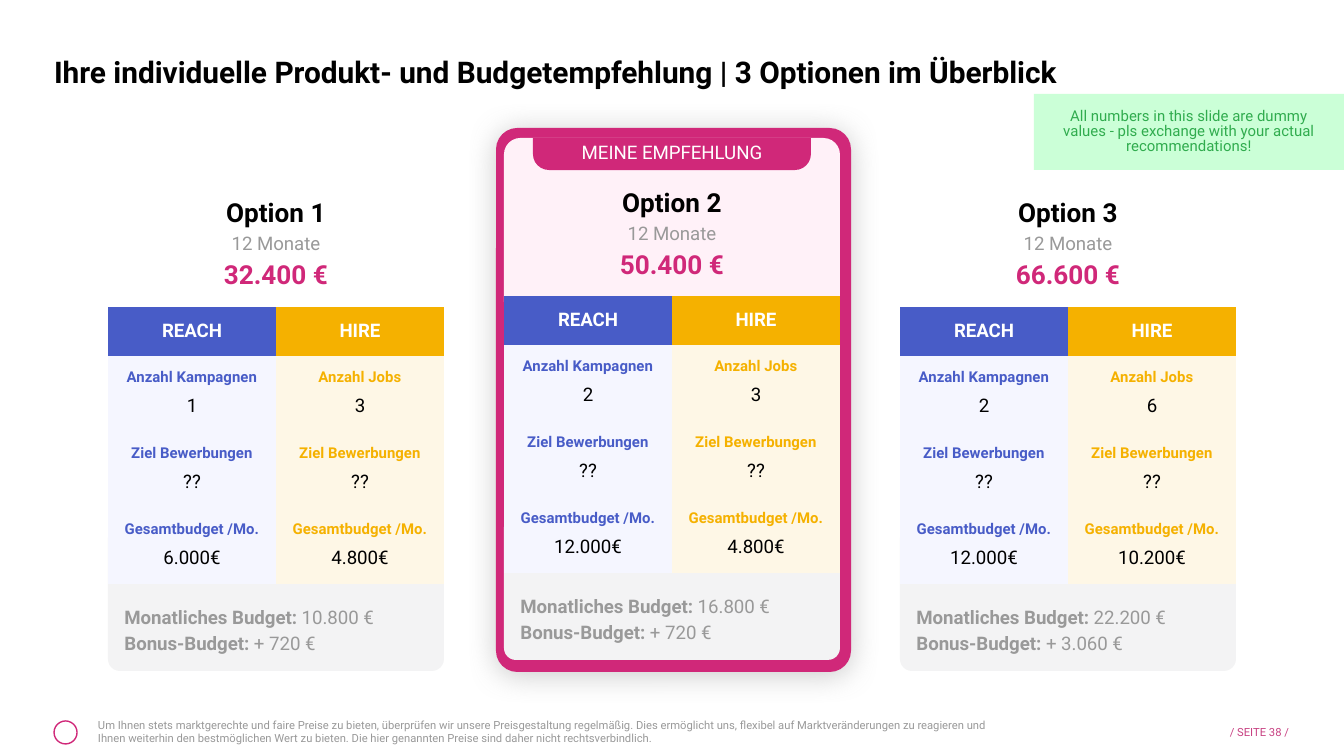
from pptx import Presentation
from pptx.dml.color import RGBColor
from pptx.enum.shapes import MSO_SHAPE
from pptx.enum.text import MSO_ANCHOR, MSO_AUTO_SIZE, PP_ALIGN
from pptx.oxml import parse_xml
from pptx.oxml.ns import nsdecls, qn
from pptx.util import Pt

SCALE = 9144000 / 1344
PINK, BLUE, GOLD, GREY = "D02879", "485CC7", "F5B100", "999999"
BLACK, WHITE = "000000", "FFFFFF"
LEFT, MID, RIGHT = PP_ALIGN.LEFT, PP_ALIGN.CENTER, PP_ALIGN.RIGHT
PLAIN = "{2D5ABB26-0587-4C30-8999-92F81FD0307C}"
CARD, STEP, PAD, LIFT = 336, 396, 13, 11
LABELS = [
    ("Anzahl Kampagnen", "Anzahl Jobs"),
    ("Ziel Bewerbungen", "Ziel Bewerbungen"),
    ("Gesamtbudget /Mo.", "Gesamtbudget /Mo."),
]
OPTIONS = [
    ("Option 1", "32.400 €", [("1", "3"), ("??", "??"), ("6.000€", "4.800€")],
     "10.800 €", "720 €"),
    ("Option 2", "50.400 €", [("2", "3"), ("??", "??"), ("12.000€", "4.800€")],
     "16.800 €", "720 €"),
    ("Option 3", "66.600 €", [("2", "6"), ("??", "??"), ("12.000€", "10.200€")],
     "22.200 €", "3.060 €"),
]


def px(n):
    return round(n * SCALE)


def rgb(code):
    return RGBColor.from_string(code)


class Deck:
    """Holds the slide style and draws each kind of element."""

    def __init__(self, font):
        self.font = font
        self.prs = Presentation()
        self.prs.slide_width, self.prs.slide_height = px(1344), px(756)
        self.slide = self.prs.slides.add_slide(self.prs.slide_layouts[5])

    def style(self, run, size, color, bold=False):
        run.font.name = self.font
        run.font.size = Pt(size)
        run.font.color.rgb = rgb(color)
        run.font.bold = bold

    def label(self, frame, lines, align=LEFT, anchor=MSO_ANCHOR.TOP, pad=PAD, top=None):
        frame.word_wrap = True
        frame.auto_size = MSO_AUTO_SIZE.NONE
        frame.vertical_anchor = anchor
        frame.margin_left = frame.margin_right = frame.margin_bottom = px(pad)
        frame.margin_top = px(pad if top is None else top)
        self.fill_lines(frame, lines, align)

    def fill_lines(self, frame, lines, align):
        frame.text = "\n".join(line[0] for line in lines)
        for para, (text, size, color, bold) in zip(frame.paragraphs, lines):
            para.alignment = align
            self.style(para.runs[0], size, color, bold)

    def title(self, text, x, y, w, h):
        shape = self.slide.shapes.title
        shape.left, shape.top, shape.width, shape.height = map(px, (x, y, w, h))
        self.label(shape.text_frame, [(text, 16, BLACK, True)], pad=0)

    def text(self, lines, x, y, w, h, **look):
        box = self.slide.shapes.add_textbox(*map(px, (x, y, w, h)))
        self.label(box.text_frame, lines, **look)

    def shape(self, kind, x, y, w, h, fill=None, line=None, adj=()):
        shape = self.slide.shapes.add_shape(kind, *map(px, (x, y, w, h)))
        shape.shadow.inherit = False
        for i, value in enumerate(adj):
            shape.adjustments[i] = value
        if fill:
            shape.fill.solid()
            shape.fill.fore_color.rgb = rgb(fill)
        else:
            shape.fill.background()
        if line:
            shape.line.color.rgb = rgb(line)
            shape.line.width = Pt(0.75)
        else:
            shape.line.fill.background()
        return shape

    def glow(self, shape):
        effects = shape.element.spPr.find(qn("a:effectLst"))
        effects.append(parse_xml(
            f'<a:outerShdw {nsdecls("a")} blurRad="{Pt(15.8)}" dist="{Pt(1.5)}" '
            'dir="5400000" algn="bl" rotWithShape="0">'
            f'<a:srgbClr val="{GREY}"><a:alpha val="50000"/></a:srgbClr></a:outerShdw>'))

    def cell(self, cell, lines, fill, anchor):
        cell.fill.solid()
        cell.fill.fore_color.rgb = rgb(fill)
        cell.vertical_anchor = anchor
        cell.margin_left = cell.margin_right = px(PAD)
        cell.margin_top = cell.margin_bottom = px(PAD)
        self.fill_lines(cell.text_frame, lines, MID)
        for para in cell.text_frame.paragraphs[1:]:
            para.space_before = Pt(5)

    def table(self, values, x, y):
        head, body = 49, 76
        size = (x, y, CARD, head + 3 * body)
        frame = self.slide.shapes.add_table(4, 2, *map(px, size))
        table = frame.table
        table.first_row = table.horz_banding = False
        next(frame.element.iter(qn("a:tableStyleId"))).text = PLAIN
        for row, high in zip(table.rows, (head, body, body, body)):
            row.height = px(high)
        plan = [("REACH", BLUE, "F5F6FF"), ("HIRE", GOLD, "FEF7E6")]
        for col, (name, color, tint) in enumerate(plan):
            self.cell(table.cell(0, col), [(name, 10, WHITE, True)], color, MSO_ANCHOR.MIDDLE)
            for row in range(3):
                lines = [(LABELS[row][col], 8, color, True),
                         (values[row][col], 10, BLACK, False)]
                self.cell(table.cell(row + 1, col), lines, tint, MSO_ANCHOR.TOP)

    def budget(self, month, bonus, x, y):
        box = self.shape(MSO_SHAPE.ROUND_2_SAME_RECTANGLE, x, y, CARD, 133,
                         "F3F3F4", adj=(0, 0.09))
        lines = [("Monatliches Budget:", 10, GREY, True), ("Bonus-Budget:", 10, GREY, True)]
        self.label(box.text_frame, lines, anchor=MSO_ANCHOR.BOTTOM)
        for para, value in zip(box.text_frame.paragraphs, (f" {month}", f" + {bonus}")):
            para.line_spacing = 1.15
            run = para.add_run()
            run.text = value
            self.style(run, 10, GREY)

    def option(self, data, x, best):
        name, price, values, month, bonus = data
        lift = LIFT if best else 0
        self.budget(month, bonus, x, 538 - lift)
        y, high, fill = (138, 164, "FFF1F8") if best else (180, 133, WHITE)
        head = self.shape(MSO_SHAPE.ROUND_2_SAME_RECTANGLE, x, y, CARD, high,
                          fill, adj=(0.1, 0))
        lines = [(name, 14, BLACK, True), ("12 Monate", 10, GREY, False),
                 (price, 14, PINK, True)]
        self.label(head.text_frame, lines, MID, top=180 + PAD - lift - y)
        for para in head.text_frame.paragraphs[1:]:
            para.line_spacing = 1.15
        self.table(values, x, 307 - lift)


def main():
    deck = Deck("Roboto")
    deck.shape(MSO_SHAPE.OVAL, 54, 721, 23, 23, line=PINK)
    deck.text([("/ SEITE 38 /", 6, "C84182", False)], 1164, 703, 125, 58,
              align=RIGHT, anchor=MSO_ANCHOR.MIDDLE, pad=0)
    deck.title("Ihre individuelle Produkt- und Budgetempfehlung | 3 Optionen im Überblick",
               54, 54, 1235, 93)
    deck.glow(deck.shape(MSO_SHAPE.ROUNDED_RECTANGLE, 496, 128, 355, 544, PINK, adj=(0.06,)))
    for i, data in enumerate(OPTIONS):
        deck.option(data, 108 + i * STEP, i == 1)
    badge = deck.shape(MSO_SHAPE.ROUND_2_SAME_RECTANGLE, 533, 138, 278, 32, PINK, adj=(0, 0.5))
    deck.label(badge.text_frame, [("MEINE EMPFEHLUNG", 10, WHITE, False)], MID,
               MSO_ANCHOR.MIDDLE, pad=0)
    deck.text([("Um Ihnen stets marktgerechte und faire Preise zu bieten, überprüfen wir unsere "
                "Preisgestaltung regelmäßig. Dies ermöglicht uns, flexibel auf "
                "Marktveränderungen zu reagieren und Ihnen weiterhin den bestmöglichen Wert zu "
                "bieten. Die hier genannten Preise sind daher nicht rechtsverbindlich.",
                6, GREY, False)], 85, 705, 942, 54)
    note = deck.shape(MSO_SHAPE.RECTANGLE, 1034, 94, 310, 76, "CBFFD7")
    deck.label(note.text_frame, [("All numbers in this slide are dummy values - pls exchange "
                                  "with your actual recommendations!", 8, "30AC4E", False)],
               MID, MSO_ANCHOR.MIDDLE)
    note.text_frame.paragraphs[0].line_spacing = 0.86
    deck.prs.save("out.pptx")


if __name__ == "__main__":
    main()
